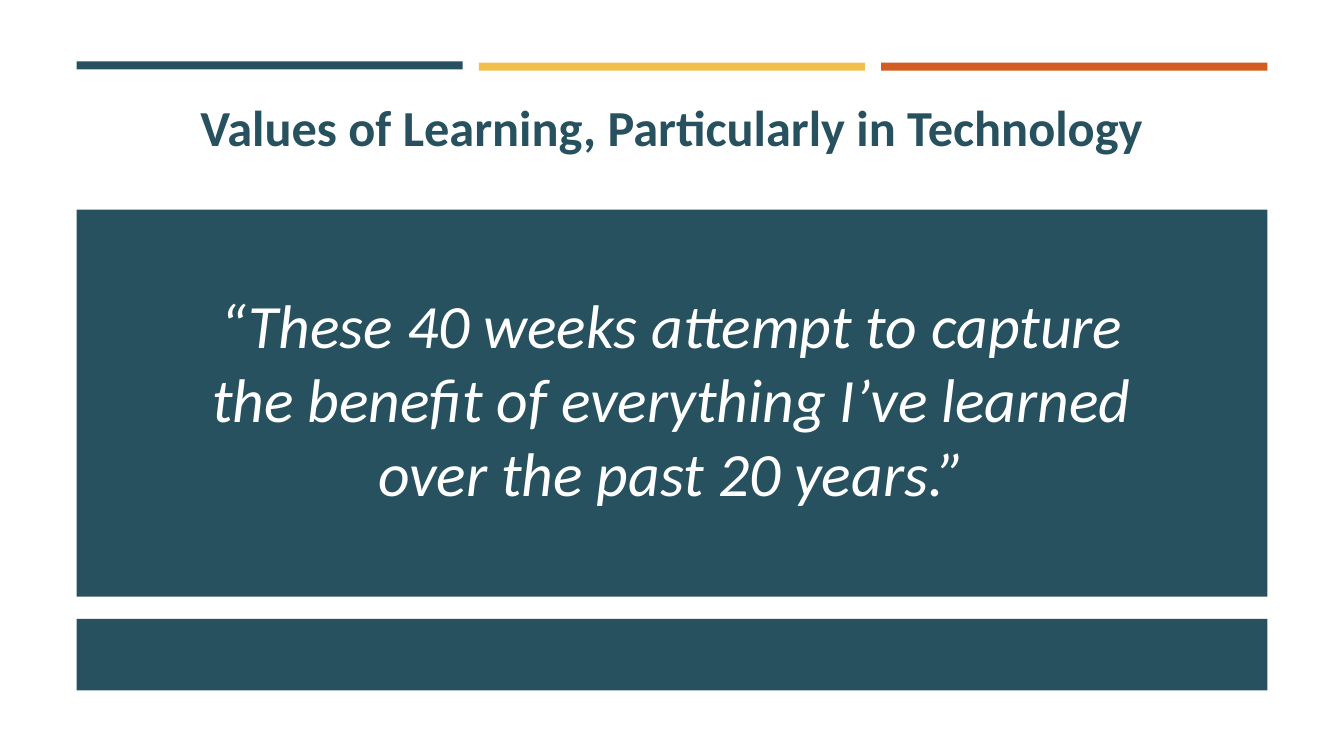
from dataclasses import dataclass

from pptx import Presentation
from pptx.dml.color import RGBColor
from pptx.enum.shapes import MSO_SHAPE as Preset
from pptx.enum.text import MSO_ANCHOR as Anchor, PP_ALIGN as Align
from pptx.util import Inches, Pt

TITLE = "Values of Learning, Particularly in Technology"
QUOTE = (
    "“These 40 weeks attempt to capture the benefit of everything "
    "I’ve learned over the past 20 years.”"
)


@dataclass(frozen=True)
class Theme:
    font: str = "Calibri"
    teal: str = "27515E"
    gold: str = "F2BF4E"
    orange: str = "D35C20"
    white: str = "FFFFFF"
    title_size: int = 36
    quote_size: int = 44


THEME = Theme()
STRIPES = [(THEME.teal, 0.61), (THEME.gold, 0.62), (THEME.orange, 0.62)]
PANELS = [(2.08, 3.84), (6.14, 0.71)]
MARGIN, CONTENT_WIDTH = 0.76, 11.81
STRIPE_WIDTH, STRIPE_HEIGHT = 3.83, 0.08
STRIPE_STEP = (CONTENT_WIDTH - STRIPE_WIDTH) / (len(STRIPES) - 1)


def add_block(slide, left, top, width, height, color):
    shape = slide.shapes.add_shape(
        Preset.RECTANGLE, Inches(left), Inches(top), Inches(width), Inches(height)
    )
    shape.shadow.inherit = False
    shape.fill.solid()
    shape.fill.fore_color.rgb = RGBColor.from_string(color)
    shape.line.fill.background()


def add_text(slide, text, left, top, width, height, size, color,
             bold=False, italic=False, bottom=0.05):
    box = slide.shapes.add_textbox(
        Inches(left), Inches(top), Inches(width), Inches(height)
    )
    frame = box.text_frame
    frame.word_wrap = True
    frame.vertical_anchor = Anchor.MIDDLE
    frame.margin_bottom = Inches(bottom)
    paragraph = frame.paragraphs[0]
    paragraph.alignment = Align.CENTER
    run = paragraph.add_run()
    run.text = text
    run.font.name = THEME.font
    run.font.size = Pt(size)
    run.font.bold = bold
    run.font.italic = italic
    run.font.color.rgb = RGBColor.from_string(color)


def main():
    presentation = Presentation()
    presentation.slide_width = Inches(13.33)
    presentation.slide_height = Inches(7.5)
    slide = presentation.slides.add_slide(presentation.slide_layouts[6])

    for top, height in PANELS:
        add_block(slide, MARGIN, top, CONTENT_WIDTH, height, THEME.teal)
    for index, (color, top) in enumerate(STRIPES):
        left = MARGIN + index * STRIPE_STEP
        add_block(slide, left, top, STRIPE_WIDTH, STRIPE_HEIGHT, color)

    add_text(slide, QUOTE, 1.99, 2.79, 9.35, 2.32,
             THEME.quote_size, THEME.white, italic=True)
    add_text(slide, TITLE, MARGIN, 0.9, CONTENT_WIDTH, 1.18,
             THEME.title_size, THEME.teal, bold=True, bottom=0.52)

    presentation.save("out.pptx")


if __name__ == "__main__":
    main()
